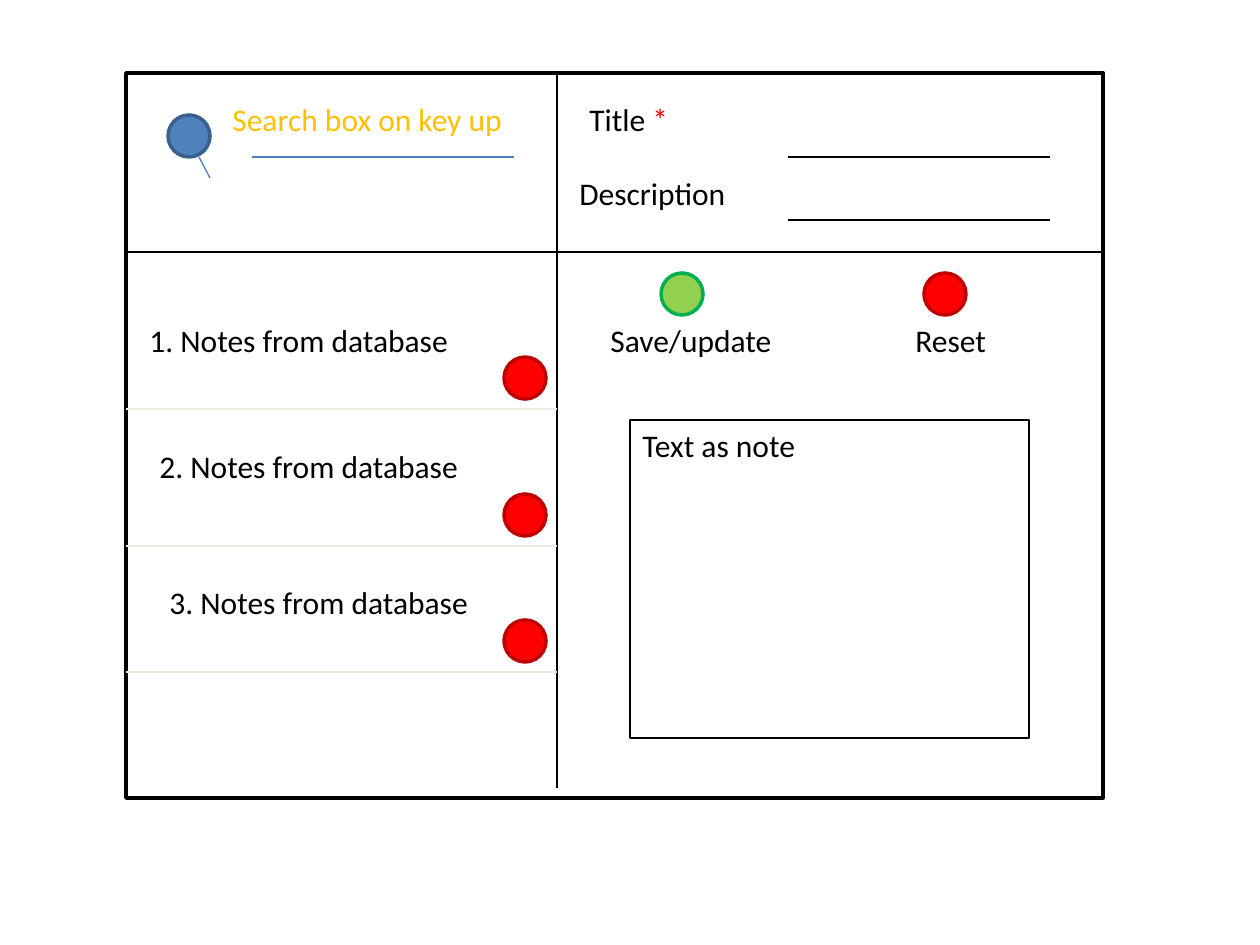
from pptx import Presentation
from pptx.dml.color import RGBColor
from pptx.enum.shapes import MSO_CONNECTOR, MSO_SHAPE
from pptx.enum.text import MSO_ANCHOR, PP_ALIGN
from pptx.oxml.ns import qn
from pptx.util import Emu, Pt
from lxml.etree import SubElement

PX = 914400 // 126  # EMU in one px

THEME = {
    "font": "Calibri", "text_size": 18, "thin": 0.75, "thick": 2,
    "ink": "000000", "paper": "FFFFFF", "hint": "FFC000", "required": "FF0000",
    "rule": "EEECE1", "search_line": "4B7EBC",
    "search": ("4F81BD", "3A5F8C"),
    "save": ("92D050", "00B050"),
    "delete": ("FF0000", "C00000"),
}

# Content: label pieces are (text, colour role)
SEARCH_HINT = [("Search box on key up", "hint")]
FIELDS = [  # label, label left, label top, underline y
    ([("Title ", "ink"), ("*", "required")], 577, 94, 157),
    ([("Description", "ink")], 567, 168, 220),
]
ACTIONS = [  # label, button role, button left, label left, label width
    ("Save/update", "save", 661, 598, 189),
    ("Reset", "delete", 924, 903, 105),
]
NOTES = [  # label, label top, rule y
    ("Notes from database", 315, 409),
    ("Notes from database", 441, 546),
    ("Notes from database", 577, 672),
]
NOTE_TEXT = "Text as note"

# Layout in px
FRAME_LEFT, FRAME_TOP, FRAME_WIDTH, FRAME_HEIGHT = 126, 73, 977, 725
FRAME_RIGHT = FRAME_LEFT + FRAME_WIDTH
DIVIDER_X, DIVIDER_END, HEADER_BOTTOM = 557, 788, 252
BUTTON, LABEL_HEIGHT, FIELD_WIDTH = 42, 51, 262
ACTION_TOP, ACTION_LABEL_TOP = 273, 315
DELETE_LEFT, DELETE_RISE = 504, 52
NOTE_LEFT, NOTE_INDENT = 137, 10

presentation = Presentation()
presentation.slide_width = Emu(1260 * PX)
presentation.slide_height = Emu(945 * PX)
slide = presentation.slides.add_slide(presentation.slide_layouts[6])


def px(*lengths):
    return [Emu(length * PX) for length in lengths]


def color(value):
    return RGBColor.from_string(value)


def add_block(kind, left, top, width, height, fill, outline):
    block = slide.shapes.add_shape(kind, *px(left, top, width, height))
    block.shadow.inherit = False
    block.fill.solid()
    block.fill.fore_color.rgb = color(fill)
    block.line.color.rgb = color(outline)
    block.line.width = Pt(THEME["thick"])


def add_button(left, top, role):
    add_block(MSO_SHAPE.OVAL, left, top, BUTTON, BUTTON, *THEME[role])


def add_rule(x1, y1, x2, y2, role="ink"):
    rule = slide.shapes.add_connector(MSO_CONNECTOR.STRAIGHT, *px(x1, y1, x2, y2))
    rule.line.color.rgb = color(THEME[role])
    rule.line.width = Pt(THEME["thin"])
    SubElement(rule._element.spPr, qn("a:effectLst"))


def add_text(pieces, left, top, width, height=LABEL_HEIGHT, outline=None):
    if isinstance(pieces, str):
        pieces = [(pieces, "ink")]
    label = slide.shapes.add_textbox(*px(left, top, width, height))
    if outline:
        label.line.color.rgb = color(THEME[outline])
        label.line.width = Pt(THEME["thin"])
    frame = label.text_frame
    frame.word_wrap = True
    frame.vertical_anchor = MSO_ANCHOR.TOP
    paragraph = frame.paragraphs[0]
    paragraph.alignment = PP_ALIGN.LEFT
    for text, role in pieces:
        run = paragraph.add_run()
        run.text = text
        run.font.name = THEME["font"]
        run.font.size = Pt(THEME["text_size"])
        run.font.color.rgb = color(THEME[role])


# Window frame and dividers
add_block(MSO_SHAPE.RECTANGLE, FRAME_LEFT, FRAME_TOP, FRAME_WIDTH, FRAME_HEIGHT,
          THEME["paper"], THEME["ink"])
add_rule(DIVIDER_X, FRAME_TOP, DIVIDER_X, DIVIDER_END)
add_rule(FRAME_LEFT, HEADER_BOTTOM, FRAME_RIGHT, HEADER_BOTTOM)

# Search box with magnifier
add_button(168, 115, "search")
add_rule(199, 157, 210, 178, "search_line")
add_rule(252, 157, 252 + FIELD_WIDTH, 157, "search_line")
add_text(SEARCH_HINT, 220, 94, 326, 89)

# Form fields
for label, left, top, underline in FIELDS:
    add_text(label, left, top, 189)
    add_rule(788, underline, 788 + FIELD_WIDTH, underline)

# Form actions
for label, role, button_left, label_left, label_width in ACTIONS:
    add_button(button_left, ACTION_TOP, role)
    add_text(label, label_left, ACTION_LABEL_TOP, label_width)

# Note editor
add_text(NOTE_TEXT, 630, 420, 399, 318, outline="ink")

# Saved notes, each with a delete button
for index, (label, top, rule_y) in enumerate(NOTES):
    add_rule(FRAME_LEFT, rule_y, DIVIDER_X, rule_y, "rule")
    add_text(f"{index + 1}. {label}", NOTE_LEFT + index * NOTE_INDENT, top, 388)
    add_button(DELETE_LEFT, rule_y - DELETE_RISE, "delete")

presentation.save("out.pptx")
